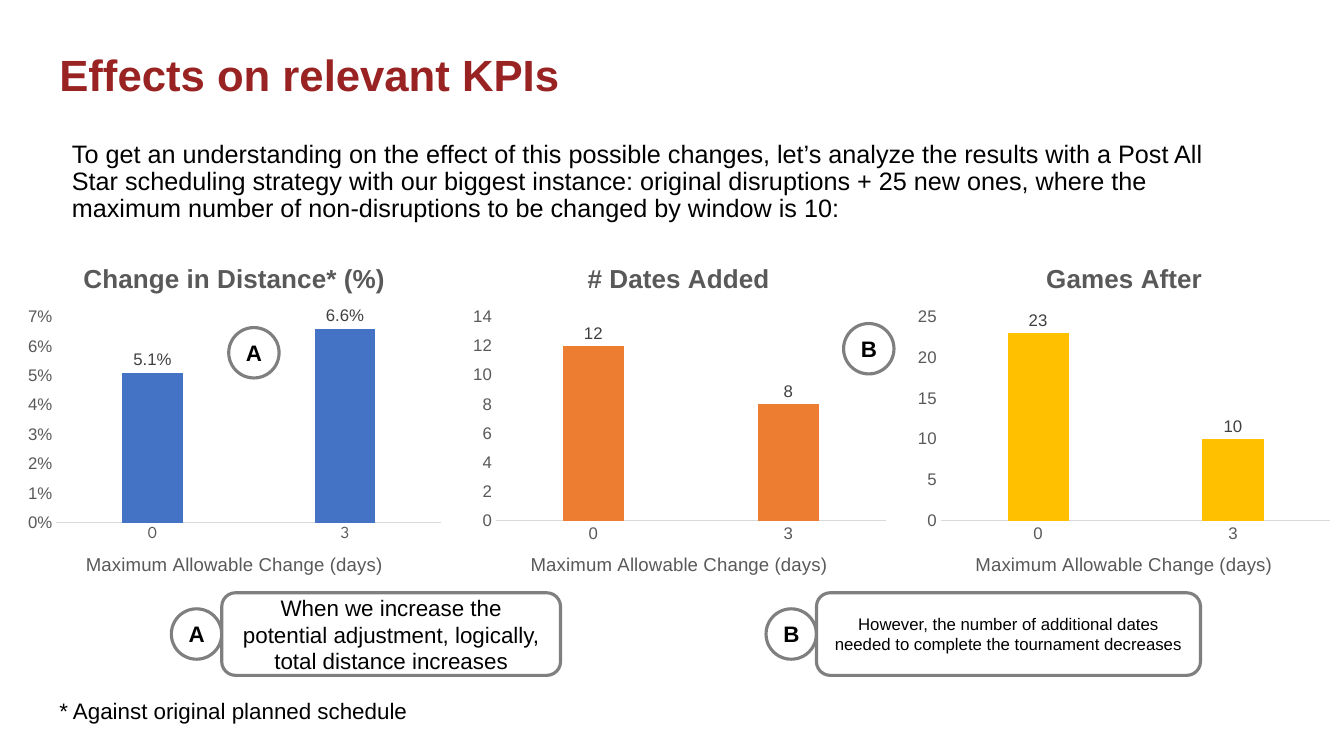
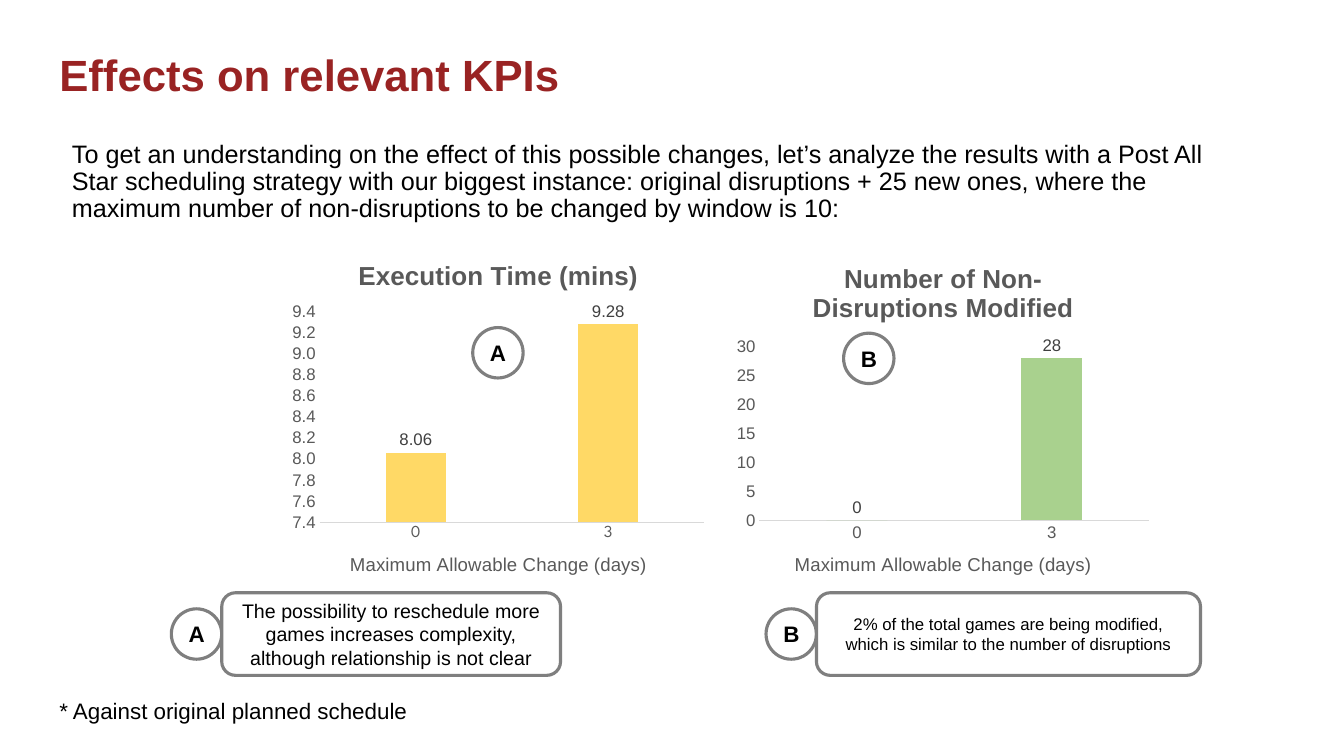
"""Build two slides of bar charts on how allowable schedule changes affect the KPIs."""
import dataclasses

import lxml.etree
import pptx
import pptx.chart.data
import pptx.dml.color
import pptx.enum.chart
import pptx.enum.shapes
import pptx.enum.text
import pptx.oxml.ns
import pptx.util

Pt = pptx.util.Pt
RGB = pptx.dml.color.RGBColor.from_string
qn = pptx.oxml.ns.qn


@dataclasses.dataclass(frozen=True)
class Theme:
    font: str = "Arial"
    display_font: str = "League Spartan"
    heading: str = "992323"
    ink: str = "000000"
    paper: str = "FFFFFF"
    outline: str = "7F7F7F"
    axis_text: str = "595959"
    axis_line: str = "D9D9D9"
    label_text: str = "404040"
    blue: str = "4472C4"
    orange: str = "ED7D31"
    gold: str = "FFC000"
    yellow: str = "FFD966"
    green: str = "A9D18E"
    title_size: float = 31.2
    body_size: float = 18
    note_size: float = 16
    chart_title_size: float = 18.6
    axis_title_size: float = 13.3
    tick_size: float = 12


@dataclasses.dataclass(frozen=True)
class BarChart:
    title: str
    title_at: tuple
    values: tuple
    colour: str
    scale: tuple
    plot: tuple
    axis_format: str = "#,##0"
    label_format: str = "General"
    category_font: str = "Arial"


theme = Theme()

TITLE = "Effects on relevant KPIs"
INTRO = (
    "To get an understanding on the effect of this possible changes, let’s analyze the results "
    "with a Post All Star scheduling strategy with our biggest instance: original disruptions "
    "+ 25 new ones, where the maximum number of non-disruptions to be changed by window is 10:"
)
FOOTNOTE = "* Against original planned schedule"
AXIS_TITLE = "Maximum Allowable Change (days)"
CHART_WIDTH, CHART_HEIGHT, CHART_TOP, CHART_PITCH = 307.4, 252.7, 174.2, 317.7
BADGE_SIZE = 36
CALLOUT_TOP, CALLOUT_HEIGHT = 423.4, 59

slides = [
    {
        "first_chart_left": 13.7,
        "charts": [
            BarChart("Change in Distance* (%)", (42.5, 8.8), (0.051, 0.066), theme.blue,
                     (0, 0.07, 0.01), (26.5, 52.3, 275, 147), "0%", "0.0%",
                     theme.display_font),
            BarChart("# Dates Added", (85, 8.8), (12, 8), theme.orange,
                     (0, 14, 2), (22.8, 52.3, 278.5, 145.5)),
            BarChart("Games After", (94.8, 8.8), (23, 10), theme.gold,
                     (0, 25, 5), (22.8, 52.3, 278.5, 145.5)),
        ],
        "chart_badges": [("A", 163.4, 234), ("B", 602.6, 231.1)],
        "callouts": [
            ("A", 158.4, 242, 16,
             "When we increase the potential adjustment, logically, total distance increases"),
            ("B", 583.2, 274.3, 12,
             "However, the number of additional dates needed to complete the tournament decreases"),
        ],
    },
    {
        "first_chart_left": 202.3,
        "charts": [
            BarChart("Execution Time (mins)", (50.3, 6.8), (8.06, 9.28), theme.yellow,
                     (7.4, 9.4, 0.2), (26, 48.5, 275, 150.5), "#,##0.0", "#,##0.00",
                     theme.display_font),
            BarChart("Number of Non-Disruptions Modified", (57.2, 8.8), (0, 28), theme.green,
                     (0, 30, 5), (22.5, 73.5, 278.5, 124)),
        ],
        "chart_badges": [("A", 337.7, 234), ("B", 602.6, 238)],
        "callouts": [
            ("A", 158.4, 242, 14,
             "The possibility to reschedule more games increases complexity, "
             "although relationship is not clear"),
            ("B", 583.2, 274.3, 12,
             "2% of the total games are being modified, "
             "which is similar to the number of disruptions"),
        ],
    },
]


def add_text(frame, text, size, colour=theme.ink, bold=False):
    """Write one run into the first paragraph of a frame and return the paragraph."""
    para = frame.paragraphs[0]
    span = para.add_run()
    span.text = text
    span.font.name = theme.font
    span.font.size = Pt(size)
    span.font.bold = bold
    span.font.color.rgb = RGB(colour)
    return para


def set_layout(element, index, left, top, width=None, height=None):
    """Place a chart part by hand, in points from the corner of the chart."""
    for old in element.findall(qn("c:layout")):
        element.remove(old)
    layout = lxml.etree.Element(qn("c:layout"))
    manual = lxml.etree.SubElement(layout, qn("c:manualLayout"))
    settings = [("xMode", "edge"), ("yMode", "edge"),
                ("x", left / CHART_WIDTH), ("y", top / CHART_HEIGHT)]
    if width:
        settings.insert(0, ("layoutTarget", "inner"))
        settings += [("w", width / CHART_WIDTH), ("h", height / CHART_HEIGHT)]
    for name, value in settings:
        lxml.etree.SubElement(manual, qn("c:" + name)).set("val", str(value))
    element.insert(index, layout)


deck = pptx.Presentation()
deck.slide_width, deck.slide_height = Pt(960), Pt(540)

for content in slides:
    page = deck.slides.add_slide(deck.slide_layouts[6])

    title = page.shapes.add_textbox(Pt(35.3), Pt(36.7), Pt(759.6), Pt(46.8)).text_frame
    title.word_wrap = True
    title.vertical_anchor = pptx.enum.text.MSO_ANCHOR.MIDDLE
    para = add_text(title, TITLE, theme.title_size, theme.heading, True)
    para.line_spacing = Pt(23.2)

    intro = page.shapes.add_textbox(Pt(35.3), Pt(97.4), Pt(855.4), Pt(375.8)).text_frame
    intro.word_wrap = True
    para = add_text(intro, INTRO, theme.body_size)
    para.line_spacing = 0.9
    para._p.get_or_add_pPr().set("marL", str(Pt(9)))

    for position, bars in enumerate(content["charts"]):
        data = pptx.chart.data.CategoryChartData()
        data.categories = ["0", "3"]
        data.add_series("Series 1", bars.values)
        left = content["first_chart_left"] + position * CHART_PITCH
        chart = page.shapes.add_chart(
            pptx.enum.chart.XL_CHART_TYPE.COLUMN_CLUSTERED,
            Pt(left), Pt(CHART_TOP), Pt(CHART_WIDTH), Pt(CHART_HEIGHT), data).chart
        chart.has_legend = False
        chart.font.name = theme.display_font
        chart.font.size = Pt(10)
        chart.font.color.rgb = RGB(theme.ink)

        add_text(chart.chart_title.text_frame, bars.title, theme.chart_title_size,
                 theme.axis_text, True)
        chart.chart_title.include_in_layout = False
        set_layout(chart.chart_title.element, 1, *bars.title_at)

        category, value = chart.category_axis, chart.value_axis
        for axis, font in ((category, bars.category_font), (value, theme.font)):
            axis.major_tick_mark = axis.minor_tick_mark = pptx.enum.chart.XL_TICK_MARK.NONE
            axis.has_major_gridlines = False
            axis.tick_labels.font.name = font
            axis.tick_labels.font.size = Pt(theme.tick_size)
            axis.tick_labels.font.color.rgb = RGB(theme.axis_text)
        category.format.line.color.rgb = RGB(theme.axis_line)
        category.format.line.width = Pt(0.75)
        add_text(category.axis_title.text_frame, AXIS_TITLE, theme.axis_title_size,
                 theme.axis_text)
        set_layout(category.axis_title.element, 1, 45.2, 217.9)
        value.format.line.fill.background()
        value.minimum_scale, value.maximum_scale, value.major_unit = bars.scale
        value.tick_labels.number_format = bars.axis_format
        value.tick_labels.number_format_is_linked = False

        plot = chart.plots[0]
        plot.gap_width, plot.overlap = 219, -27
        plot.vary_by_categories = False
        fill = plot.series[0].format.fill
        fill.solid()
        fill.fore_color.rgb = RGB(bars.colour)
        plot.has_data_labels = True
        labels = plot.data_labels
        labels.show_value = True
        labels.position = pptx.enum.chart.XL_LABEL_POSITION.OUTSIDE_END
        labels.number_format = bars.label_format
        labels.number_format_is_linked = False
        labels.font.name = theme.font
        labels.font.size = Pt(theme.tick_size)
        labels.font.color.rgb = RGB(theme.label_text)
        set_layout(chart.element.find(".//" + qn("c:plotArea")), 0, *bars.plot)

    oval = pptx.enum.shapes.MSO_SHAPE.OVAL
    rounded = pptx.enum.shapes.MSO_SHAPE.ROUNDED_RECTANGLE
    badge_top = CALLOUT_TOP + (CALLOUT_HEIGHT - BADGE_SIZE) / 2
    bubbles = []
    for letter, left, width, size, text in content["callouts"]:
        bubbles.append((oval, left - BADGE_SIZE, badge_top, BADGE_SIZE, BADGE_SIZE,
                        letter, theme.note_size, True))
        bubbles.append((rounded, left, CALLOUT_TOP, width, CALLOUT_HEIGHT, text, size, False))
    for letter, left, top in content["chart_badges"]:
        bubbles.append((oval, left, top, BADGE_SIZE, BADGE_SIZE, letter, theme.note_size, True))

    for preset, left, top, width, height, text, size, bold in bubbles:
        box = page.shapes.add_shape(preset, Pt(left), Pt(top), Pt(width), Pt(height))
        box.shadow.inherit = False
        box.fill.solid()
        box.fill.fore_color.rgb = RGB(theme.paper)
        box.line.color.rgb = RGB(theme.outline)
        box.line.width = Pt(2.25)
        box.text_frame.word_wrap = True
        box.text_frame.vertical_anchor = pptx.enum.text.MSO_ANCHOR.MIDDLE
        para = add_text(box.text_frame, text, size, bold=bold)
        para.alignment = pptx.enum.text.PP_ALIGN.CENTER

    footnote = page.shapes.add_textbox(Pt(35.3), Pt(494.6), Pt(265.7), Pt(26.6)).text_frame
    footnote.word_wrap = False
    footnote.auto_size = pptx.enum.text.MSO_AUTO_SIZE.SHAPE_TO_FIT_TEXT
    add_text(footnote, FOOTNOTE, theme.note_size)

deck.save("out.pptx")
